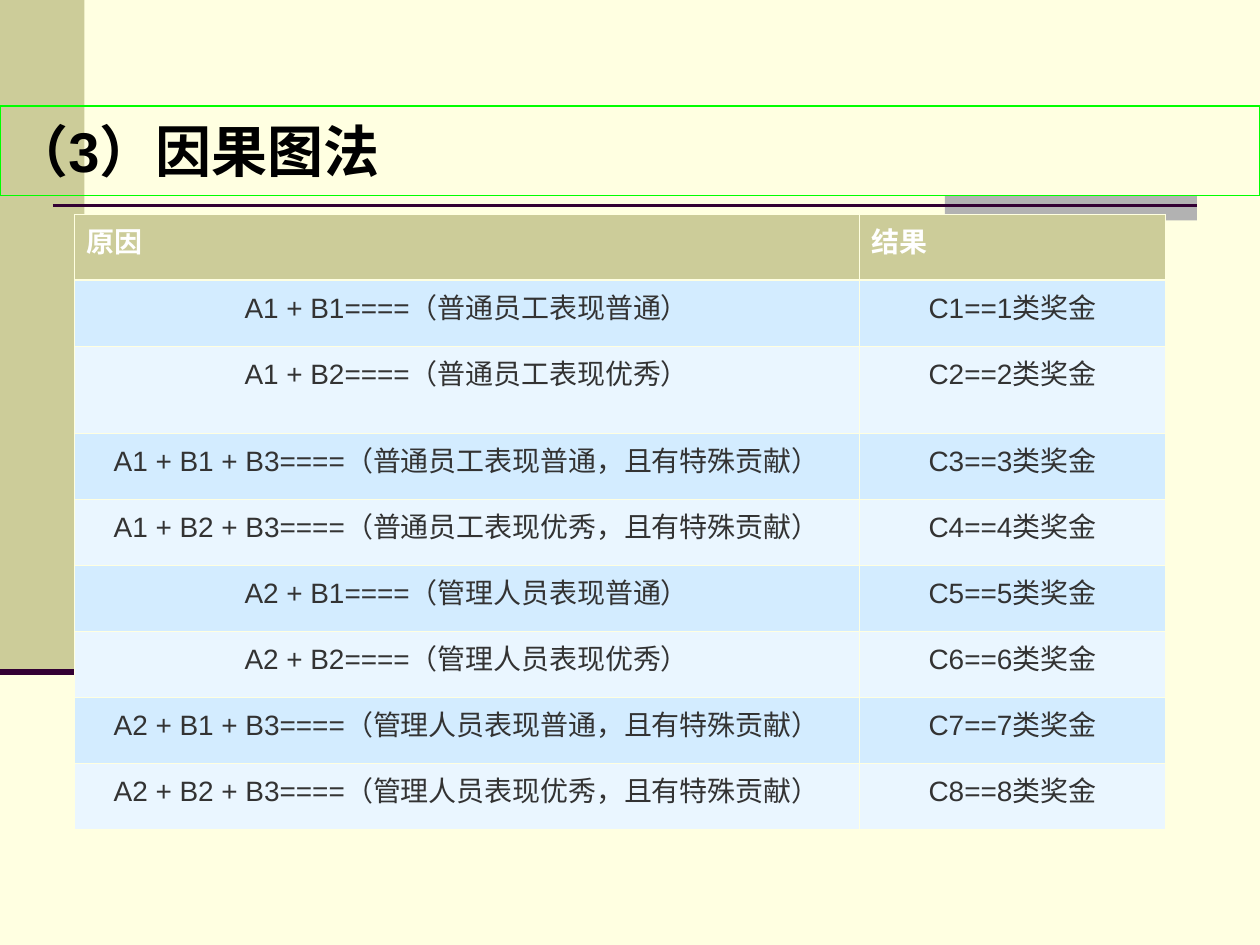
from pptx import Presentation
from pptx.dml.color import RGBColor
from pptx.enum.shapes import MSO_CONNECTOR, MSO_SHAPE
from pptx.enum.text import MSO_ANCHOR, PP_ALIGN
from pptx.oxml.ns import qn
from pptx.util import Inches, Pt
from lxml import etree

RECTANGLE = MSO_SHAPE.RECTANGLE
STRAIGHT = MSO_CONNECTOR.STRAIGHT
MIDDLE = MSO_ANCHOR.MIDDLE
LEFT, CENTER = PP_ALIGN.LEFT, PP_ALIGN.CENTER

FONT = "Arial"
CREAM, KHAKI, PLUM = "FFFFE1", "CCCC99", "330033"
BAND_FILLS = ("D3ECFF", "EAF6FF")
THIN, THICK = 0.45, 1.47

STAFF = (("A1", "普通员工"), ("A2", "管理人员"))
MERITS = (("", ""), (" + B3", "，且有特殊贡献"))
RATINGS = (("B1", "普通"), ("B2", "优秀"))


def rgb(value):
    return RGBColor.from_string(value)


def add_text(paragraph, text, size, color, bold=False, align=LEFT):
    paragraph.alignment = align
    run = paragraph.add_run()
    run.text = text
    run.font.name = FONT
    run.font.size = Pt(size)
    run.font.bold = bold
    run.font.color.rgb = rgb(color)


def add_block(slide, left, top, width, height, fill):
    block = slide.shapes.add_shape(
        RECTANGLE, Inches(left), Inches(top), Inches(width), Inches(height))
    block.shadow.inherit = False
    block.fill.solid()
    block.fill.fore_color.rgb = rgb(fill)
    block.line.fill.background()


def add_rule(slide, left, right, y, width):
    rule = slide.shapes.add_connector(
        STRAIGHT, Inches(left), Inches(y), Inches(right), Inches(y))
    rule.line.color.rgb = rgb(PLUM)
    rule.line.width = Pt(width)
    etree.SubElement(rule._element.spPr, qn("a:effectLst"))


def add_title(slide, text):
    title = slide.shapes.add_shape(
        RECTANGLE, Inches(0), Inches(0.84), Inches(10), Inches(0.71))
    title.shadow.inherit = False
    title.fill.background()
    title.line.color.rgb = rgb("00FF00")
    title.line.width = Pt(0.75)
    frame = title.text_frame
    frame.word_wrap = True
    frame.vertical_anchor = MIDDLE
    add_text(frame.paragraphs[0], text, 32, "000000", bold=True)


def set_borders(cell, top, bottom):
    properties = cell._tc.get_or_add_tcPr()
    sides = (("L", THIN), ("R", THIN), ("T", top), ("B", bottom))
    for index, (side, width) in enumerate(sides):
        border = etree.Element(qn(f"a:ln{side}"), w=str(Pt(width)))
        fill = etree.SubElement(border, qn("a:solidFill"))
        etree.SubElement(fill, qn("a:srgbClr"), val=CREAM)
        properties.insert(index, border)


def decision_rows():
    causes = [
        f"{role} + {rating}{extra}====（{staff}表现{quality}{merit}）"
        for role, staff in STAFF
        for extra, merit in MERITS
        for rating, quality in RATINGS
    ]
    return [(cause, f"C{n}=={n}类奖金") for n, cause in enumerate(causes, 1)]


def add_decision_table(slide):
    rows = [("原因", "结果")] + decision_rows()
    table = slide.shapes.add_table(
        len(rows), 2, Inches(0.59), Inches(1.7), Inches(8.66), Inches(4.88)).table
    for column, width in zip(table.columns, (6.23, 2.43)):
        column.width = Inches(width)
    for r, row in enumerate(rows):
        table.rows[r].height = Inches(0.69 if r == 2 else 0.524)
        header = r == 0
        for c, text in enumerate(row):
            cell = table.cell(r, c)
            cell.fill.solid()
            cell.fill.fore_color.rgb = rgb(KHAKI if header else BAND_FILLS[(r - 1) % 2])
            set_borders(cell, THICK if r == 1 else THIN, THICK if header else THIN)
            add_text(cell.text_frame.paragraphs[0], text, 16,
                     "FFFFFF" if header else "333333", header,
                     LEFT if header else CENTER)


def main():
    deck = Presentation()
    deck.slide_width, deck.slide_height = Inches(10), Inches(7.5)
    slide = deck.slides.add_slide(deck.slide_layouts[6])
    slide.background.fill.solid()
    slide.background.fill.fore_color.rgb = rgb(CREAM)
    add_block(slide, 0, 0, 0.67, 5.33, KHAKI)
    add_block(slide, 7.5, 1.55, 2, 0.2, "B2B2B2")
    add_rule(slide, 0.42, 9.5, 1.63, 1.5)
    add_rule(slide, 0, 0.67, 5.33, 3.5)
    add_title(slide, "（3）因果图法")
    add_decision_table(slide)
    deck.save("out.pptx")


if __name__ == "__main__":
    main()
